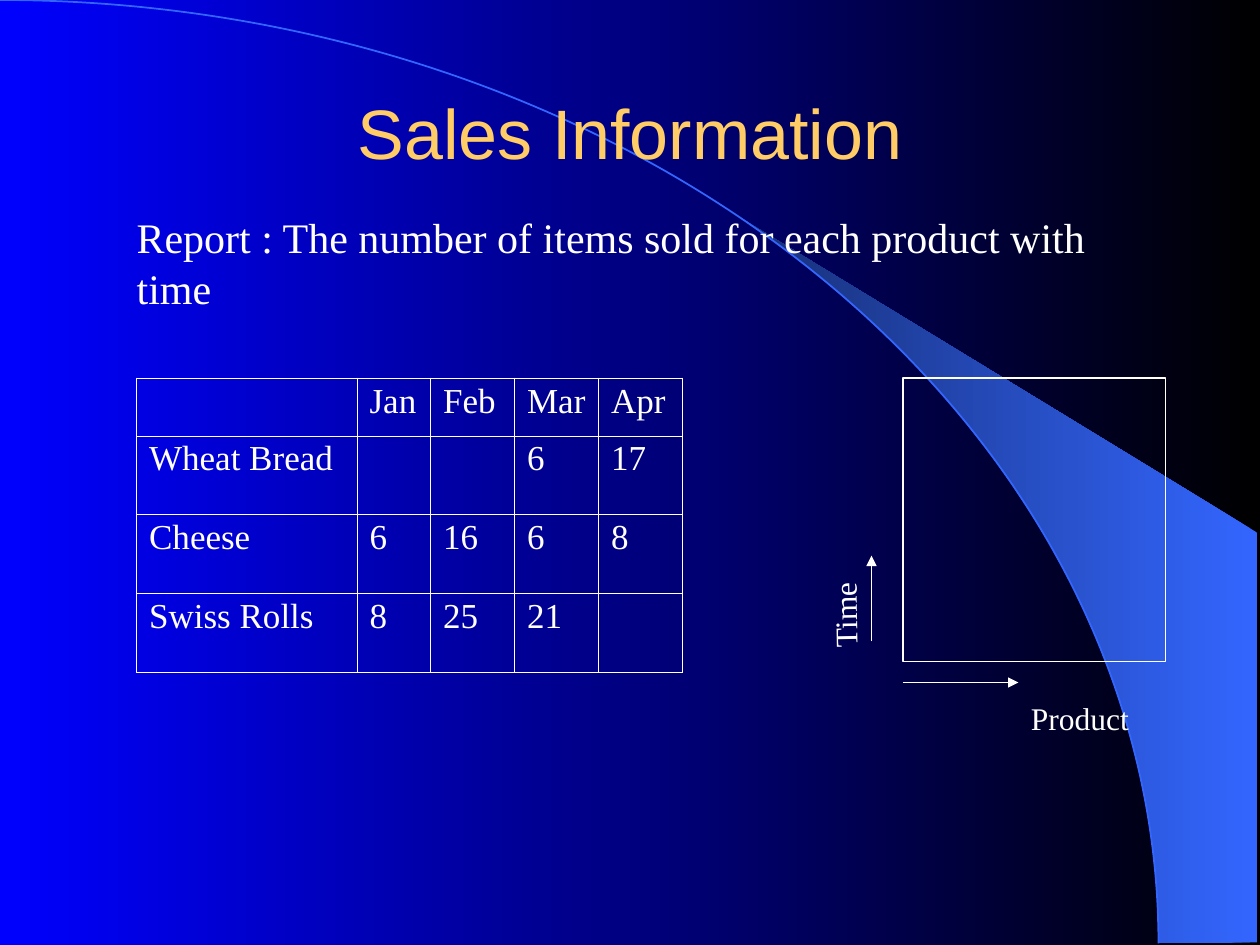
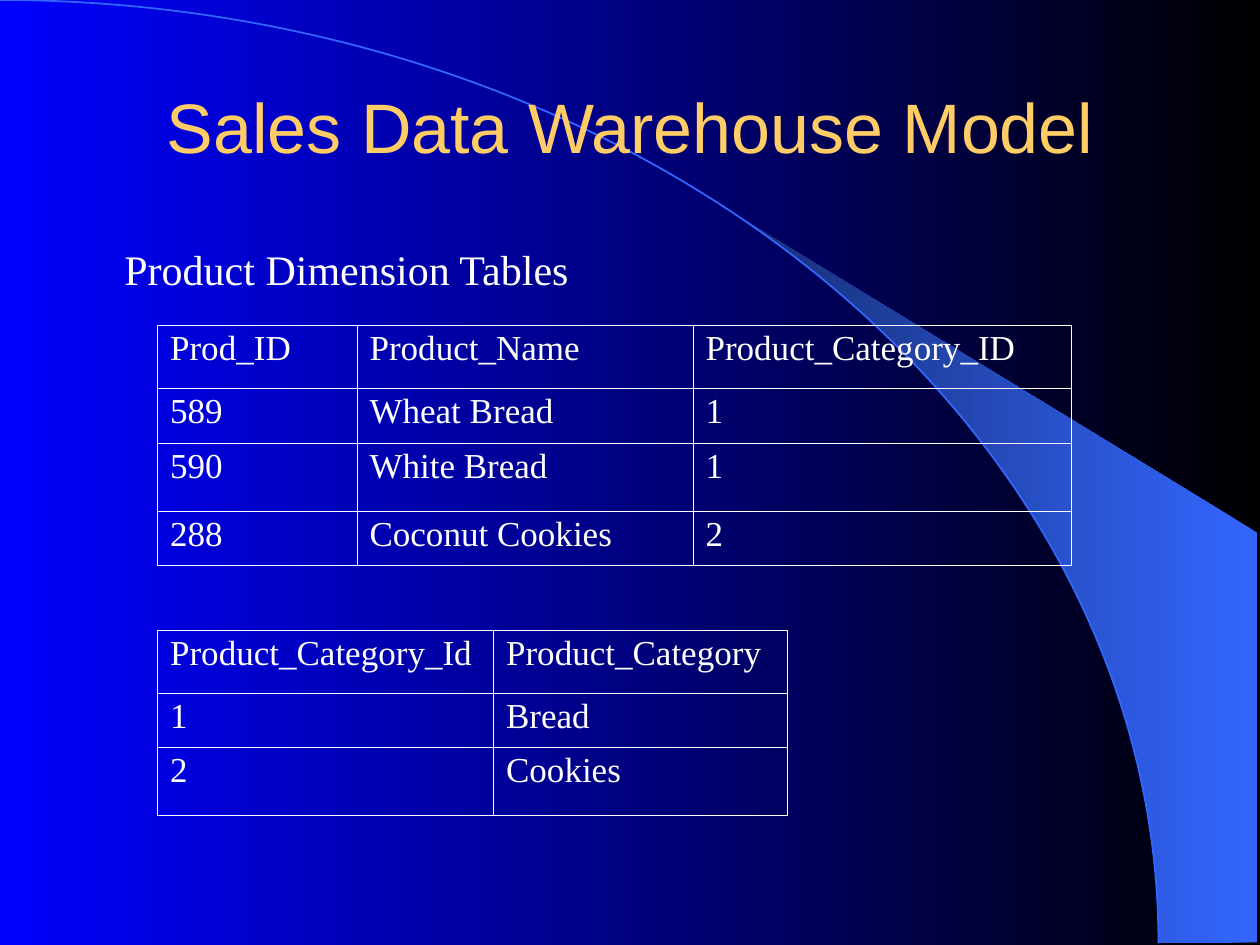
"""Build two slides on sales reports and the product tables of a data warehouse."""
from dataclasses import dataclass
from math import asin, cos, pi, sin

from lxml.etree import SubElement
from pptx import Presentation
from pptx.dml.color import RGBColor
from pptx.enum.shapes import MSO_CONNECTOR, MSO_SHAPE
from pptx.enum.text import MSO_ANCHOR, MSO_AUTO_SIZE, PP_ALIGN
from pptx.oxml.ns import qn
from pptx.util import Pt


@dataclass(frozen=True)
class Theme:
    white: str = "FFFFFF"
    gold: str = "FFCC66"
    arc: str = "3366FF"
    backdrop: tuple = ("000000", "0000FF")
    beam: tuple = ("3366FF", "172F75")
    title_font: str = "Arial"
    body_font: str = "Times New Roman"
    title_size: float = 40
    body_size: float = 24
    cell_size: float = 20
    label_size: float = 18
    line_width: float = 0.75
    arc_width: float = 1
    outer_border: float = 0.5
    inner_border: float = 0.23


def rgb(color):
    return RGBColor.from_string(color)


def write_text(tf, text, *, size, color, font, align=PP_ALIGN.LEFT, spacing=None, before=None):
    for i, line in enumerate(text.split("\n")):
        p = tf.add_paragraph() if i else tf.paragraphs[0]
        p.alignment = align
        p.line_spacing = spacing
        if before is not None:
            p.space_before = Pt(before)
        r = p.add_run()
        r.text = line
        r.font.size = Pt(size)
        r.font.name = font
        r.font.color.rgb = rgb(color)


def fill_gradient(fill, colors):
    fill.gradient()
    fill.gradient_angle = 180
    for stop, color in zip(fill.gradient_stops, colors):
        stop.color.rgb = rgb(color)


def set_border(cell, side, width, color):
    ln = SubElement(cell._tc.get_or_add_tcPr(), qn(f"a:ln{side}"), w=str(Pt(width)))
    SubElement(SubElement(ln, qn("a:solidFill")), qn("a:srgbClr"), val=color)


class Deck:
    def __init__(self, theme):
        self.theme = theme
        self.prs = Presentation()
        self.prs.slide_width, self.prs.slide_height = Pt(720), Pt(540)
        fill_gradient(self.prs.slide_master.background.fill, theme.backdrop)

    def slide(self, title, title_height):
        t = self.theme
        self.s = self.prs.slides.add_slide(self.prs.slide_layouts[5])
        self.backdrop()
        sp = self.s.shapes.title
        sp.element.getparent().append(sp.element)
        sp.left, sp.top, sp.width, sp.height = Pt(54), Pt(48), Pt(612), Pt(title_height)
        tf = sp.text_frame
        tf.auto_size = MSO_AUTO_SIZE.NONE
        tf.vertical_anchor = MSO_ANCHOR.MIDDLE
        write_text(tf, title, size=t.title_size, color=t.gold, font=t.title_font,
                   align=PP_ALIGN.CENTER)

    def backdrop(self):
        rx, ry, right, bottom, steps = 662, 539, 718.5, 538.5, 24
        start = asin(0.64)
        angles = [start + (pi / 2 - start) * i / steps for i in range(steps + 1)]
        curve = [(Pt(rx * sin(a)), Pt(ry * (1 - cos(a)))) for a in angles]
        fb = self.s.shapes.build_freeform(*curve[0])
        corners = [(Pt(right), Pt(bottom)), (Pt(right), Pt(304.5))]
        fb.add_line_segments(curve[1:] + corners, close=True)
        beam = fb.convert_to_shape()
        beam.shadow.inherit = False
        fill_gradient(beam.fill, self.theme.beam)
        beam.line.fill.background()
        self.outline(MSO_SHAPE.ARC, -rx, 0, 2 * rx, 2 * ry,
                     self.theme.arc, self.theme.arc_width)

    def outline(self, kind, x, y, w, h, color, width):
        sp = self.s.shapes.add_shape(kind, Pt(x), Pt(y), Pt(w), Pt(h))
        sp.shadow.inherit = False
        sp.fill.background()
        sp.line.color.rgb = rgb(color)
        sp.line.width = Pt(width)

    def text(self, text, x, y, w, h, size, rotation=0):
        sp = self.s.shapes.add_textbox(Pt(x), Pt(y), Pt(w), Pt(h))
        sp.rotation = rotation
        tf = sp.text_frame
        tf.word_wrap = False
        tf.auto_size = MSO_AUTO_SIZE.SHAPE_TO_FIT_TEXT
        write_text(tf, text, size=size, color=self.theme.white, font=self.theme.body_font)

    def arrow(self, x1, y1, x2, y2):
        cxn = self.s.shapes.add_connector(MSO_CONNECTOR.STRAIGHT, Pt(x1), Pt(y1), Pt(x2), Pt(y2))
        cxn.line.color.rgb = rgb(self.theme.white)
        cxn.line.width = Pt(self.theme.line_width)
        spPr = cxn.element.spPr
        SubElement(spPr.find(qn("a:ln")), qn("a:tailEnd"), type="triangle")
        SubElement(spPr, qn("a:effectLst"))

    def table(self, x, y, widths, heights, rows):
        t = self.theme
        table = self.s.shapes.add_table(len(heights), len(widths), Pt(x), Pt(y),
                                        Pt(sum(widths)), Pt(sum(heights))).table
        table.first_row = table.horz_banding = False
        for col, width in zip(table.columns, widths):
            col.width = Pt(width)
        for row, height in zip(table.rows, heights):
            row.height = Pt(height)
        last_row, last_col = len(heights) - 1, len(widths) - 1
        for i, values in enumerate(rows):
            for j, value in enumerate(values):
                cell = table.cell(i, j)
                edges = {"L": j == 0, "R": j == last_col, "T": i == 0, "B": i == last_row}
                for side, outer in edges.items():
                    set_border(cell, side, t.outer_border if outer else t.inner_border, t.white)
                cell.fill.background()
                if value:
                    write_text(cell.text_frame, value, size=t.cell_size, color=t.white,
                               font=t.body_font, spacing=0.93, before=5)


def sales_information(deck):
    t = deck.theme
    deck.slide("Sales Information", 54)
    deck.text("Report : The number of items sold for each product with\ntime",
              71, 117.5, 556.5, 65, t.body_size)
    deck.table(78, 216, [126, 42, 48, 48, 48], [33, 45, 45, 45], [
        ["", "Jan", "Feb", "Mar", "Apr"],
        ["Wheat Bread", "", "", "6", "17"],
        ["Cheese", "6", "16", "6", "8"],
        ["Swiss Rolls", "8", "25", "21", ""],
    ])
    deck.outline(MSO_SHAPE.RECTANGLE, 516, 216, 150, 162, t.white, t.line_width)
    deck.text("Product", 582, 396, 75, 29, t.label_size)
    deck.arrow(516, 390, 582, 390)
    deck.arrow(498, 366.5, 498, 317.5)
    deck.text("Time", 456.5, 336.5, 52.5, 29, t.label_size, rotation=269)


def warehouse_model(deck):
    deck.slide("Sales Data Warehouse Model", 48)
    deck.text("Product Dimension Tables", 64, 135.5, 270, 36, deck.theme.body_size)
    deck.table(90, 186, [114, 192, 216], [36, 31.2, 39, 31.2], [
        ["Prod_ID", "Product_Name", "Product_Category_ID"],
        ["589", "Wheat Bread", "1"],
        ["590", "White Bread", "1"],
        ["288", "Coconut Cookies", "2"],
    ])
    deck.table(90, 360, [192, 168], [36, 31.2, 39], [
        ["Product_Category_Id", "Product_Category"],
        ["1", "Bread"],
        ["2", "Cookies"],
    ])


def main():
    deck = Deck(Theme())
    sales_information(deck)
    warehouse_model(deck)
    deck.prs.save("out.pptx")


if __name__ == "__main__":
    main()
